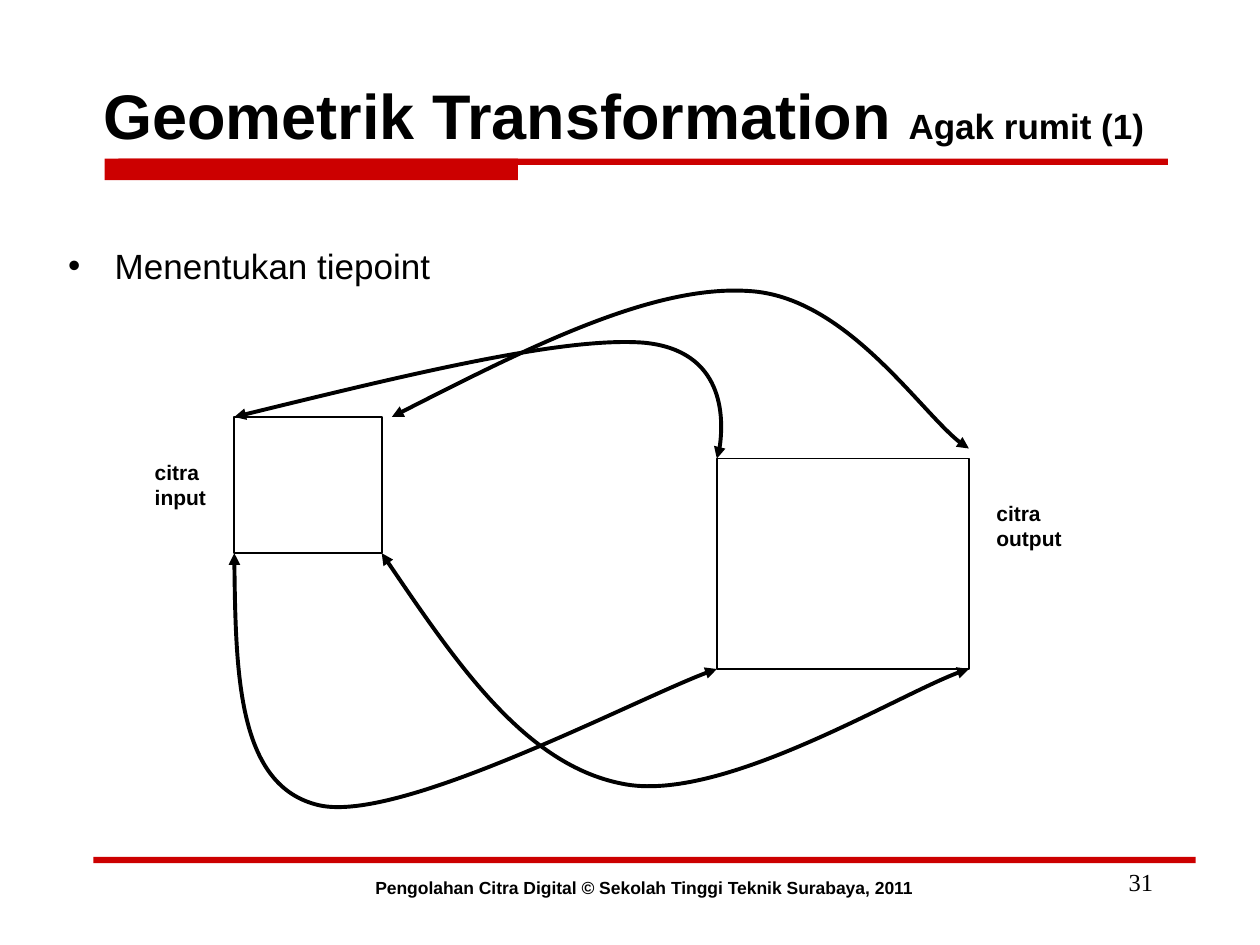
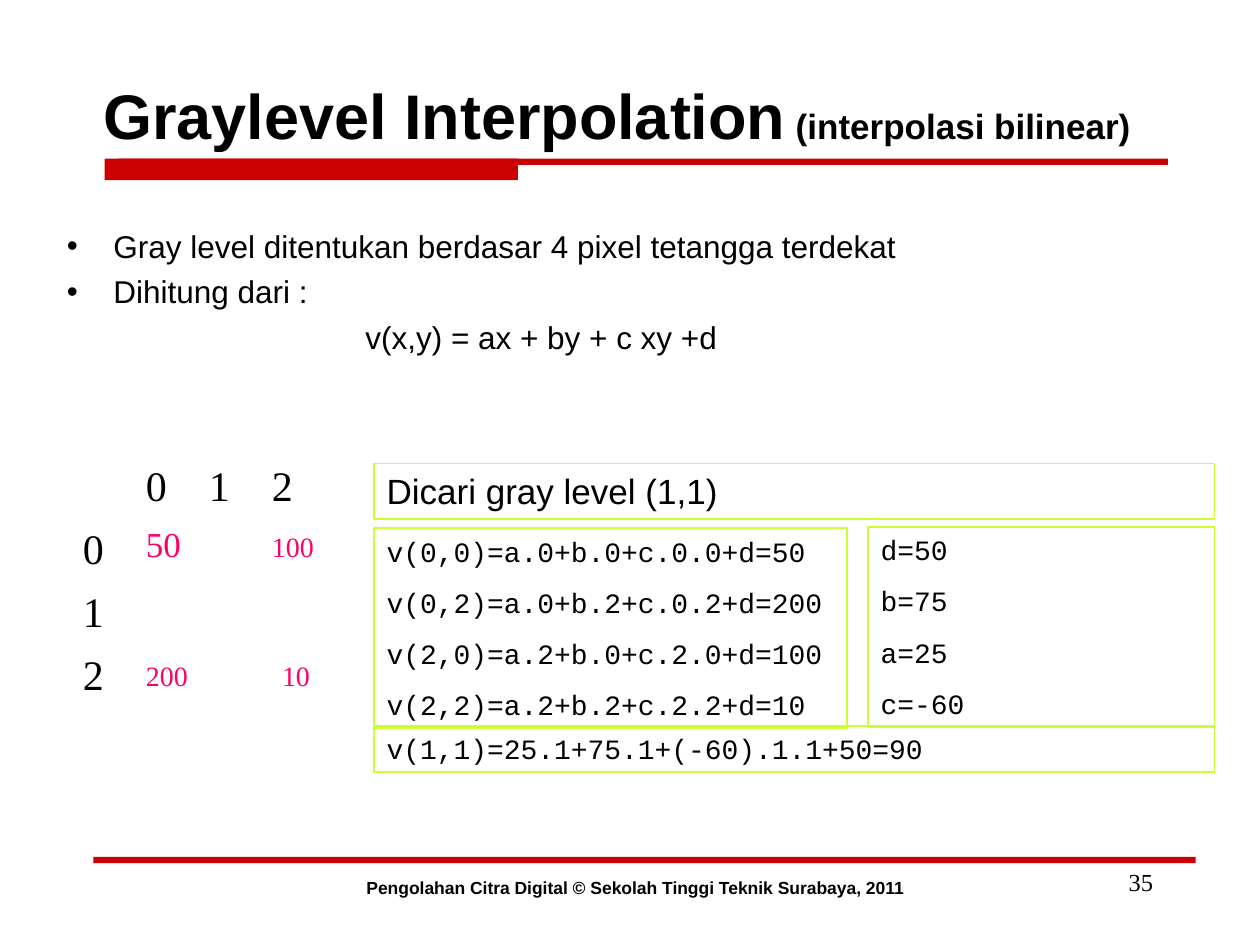
"""Build two slides on geometric transformation and gray level interpolation."""
from dataclasses import dataclass

from lxml.etree import SubElement
from pptx import Presentation
from pptx.dml.color import RGBColor
from pptx.enum.shapes import MSO_SHAPE as Shape
from pptx.enum.text import MSO_ANCHOR as Anchor, MSO_AUTO_SIZE as AutoSize, PP_ALIGN as Align
from pptx.oxml.ns import qn
from pptx.util import Inches, Pt


@dataclass(frozen=True)
class Theme:
    """Colours, fonts and type sizes of the deck."""
    ink: str = "000000"
    band: str = "CC0000"
    frame: str = "CCFF33"
    value: str = "FF0066"
    sans: str = "Arial"
    serif: str = "Times New Roman"
    mono: str = "Courier New"
    title: int = 36
    axis: int = 24
    subtitle: int = 20
    code: int = 16
    number: int = 14
    label: int = 12
    footer: int = 10


THEME = Theme()
FOOTER = "Pengolahan Citra Digital © Sekolah Tinggi Teknik Surabaya, 2011"
BANDS = [(0.94, 1.26, 8.33, 0.05), (0.83, 1.26, 3.28, 0.17), (0.74, 6.8, 8.75, 0.05)]
HANGING = 0.37

TIEPOINT = {
    "title": ("Geometrik Transformation ", "Agak rumit (1)"),
    "number": "31",
    "footer_left": 1.84,
    "body_at": (0.44, 1.89, 9.17, 0.75),
    "body_size": 20,
    "bullets": ["Menentukan tiepoint"],
}
IMAGES = [(1.86, 3.31, 1.17, 1.08), (5.69, 3.64, 2, 1.67)]
IMAGE_LABELS = [
    (["citra", "input"], (1.13, 3.6, 0.7, 0.5)),
    (["citra", "output"], (7.81, 3.92, 0.8, 0.5)),
]
TIES = [
    [(3.11, 3.31), (4.15, 2.78), (5.18, 2.26), (5.94, 2.31), (6.71, 2.35), (7.39, 3.4), (7.69, 3.56)],
    [(1.86, 3.31), (3.17, 2.99), (4.47, 2.67), (5.11, 2.72), (5.75, 2.78), (5.76, 3.47), (5.69, 3.64)],
    [(3.03, 4.39), (3.6, 5.23), (4.17, 6.07), (4.94, 6.22), (5.72, 6.38), (7.26, 5.43), (7.69, 5.31)],
    [(1.86, 4.39), (1.87, 5.31), (1.89, 6.24), (2.53, 6.39), (3.17, 6.54), (5.19, 5.47), (5.69, 5.31)],
]

BILINEAR = {
    "title": ("Graylevel Interpolation", " (interpolasi bilinear)"),
    "number": "35",
    "footer_left": 1.77,
    "body_at": (0.43, 1.75, 9.17, 1.39),
    "body_size": 18,
    "bullets": ["Gray level ditentukan berdasar 4 pixel tetangga terdekat", "Dihitung dari :"],
    "formula": "v(x,y) = ax + by + c xy +d",
}
FORMULA_INDENT = 2.37
GRID_LEFT, GRID_TOP, CELL = 0.56, 3.6, 0.5
AXIS = ["0", "1", "2"]
GRAY_LEVELS = [
    ("50", 20, (1.06, 4.1, 0.5, 0.44)),
    ("100", 16, (2.06, 4.15, 0.67, 0.37)),
    ("200", 16, (1.06, 5.18, 0.67, 0.37)),
    ("10", 16, (2.14, 5.18, 0.67, 0.37)),
]
QUESTION = (["Dicari gray level (1,1)"], (2.97, 3.68, 6.67, 0.44))
WORKINGS = [
    (["v(0,0)=a.0+b.0+c.0.0+d=50", "v(0,2)=a.0+b.2+c.0.2+d=200",
      "v(2,0)=a.2+b.0+c.2.0+d=100", "v(2,2)=a.2+b.2+c.2.2+d=10"], (2.97, 4.19, 3.75, 1.59)),
    (["d=50", "b=75", "a=25", "c=-60"], (6.89, 4.18, 2.75, 1.59)),
    (["v(1,1)=25.1+75.1+(-60).1.1+50=90"], (2.97, 5.76, 6.67, 0.37)),
]


def inches(lengths):
    return [Inches(length) for length in lengths]


def style(font, size, face=THEME.sans, color=THEME.ink, bold=False):
    font.size, font.name, font.bold = Pt(size), face, bold
    font.color.rgb = RGBColor.from_string(color)


def write(frame, lines, size, align=Align.LEFT, gap=0, **look):
    frame.word_wrap = True
    frame.vertical_anchor = Anchor.TOP
    for index, line in enumerate(lines):
        paragraph = frame.add_paragraph() if index else frame.paragraphs[0]
        paragraph.text = line
        paragraph.alignment = align
        paragraph.space_before = Pt(gap if index else 0)
        style(paragraph.font, size, **look)


def add_text(slide, lines, at, size, **look):
    write(slide.shapes.add_textbox(*inches(at)).text_frame, lines, size, **look)


def add_box(slide, at, fill=None, line=None):
    box = slide.shapes.add_shape(Shape.RECTANGLE, *inches(at))
    box.shadow.inherit = False
    if fill:
        box.fill.solid()
        box.fill.fore_color.rgb = RGBColor.from_string(fill)
    else:
        box.fill.background()
    if line:
        box.line.color.rgb = RGBColor.from_string(line)
        box.line.width = Pt(1)
    else:
        box.line.fill.background()
    return box


def add_tie(slide, points):
    start, *rest = [tuple(inches(point)) for point in points]
    builder = slide.shapes.build_freeform(*start)
    builder.add_line_segments(rest, close=False)
    tie = builder.convert_to_shape()
    tie.shadow.inherit = False
    tie.fill.background()
    tie.line.color.rgb = RGBColor.from_string(THEME.ink)
    tie.line.width = Pt(2.25)
    outline = tie._element.find(".//" + qn("a:path"))
    segments = outline.findall(qn("a:lnTo"))
    for first in range(0, len(segments), 3):
        curve = SubElement(outline, qn("a:cubicBezTo"))
        for segment in segments[first:first + 3]:
            curve.append(segment[0])
            outline.remove(segment)
    for end in ("a:headEnd", "a:tailEnd"):
        SubElement(tie.line._get_or_add_ln(), qn(end), type="triangle")


def indent(paragraph, left, hanging=0, bullet=None):
    properties = paragraph._p.get_or_add_pPr()
    properties.set("marL", str(Inches(left)))
    properties.set("indent", str(-Inches(hanging)))
    if bullet:
        SubElement(properties, qn("a:buFont"), typeface=THEME.sans)
        SubElement(properties, qn("a:buChar"), char=bullet)
    else:
        SubElement(properties, qn("a:buNone"))


def place(placeholder, at, anchor):
    placeholder.left, placeholder.top, placeholder.width, placeholder.height = inches(at)
    frame = placeholder.text_frame
    frame.auto_size = AutoSize.NONE
    frame.word_wrap = True
    frame.vertical_anchor = anchor
    return frame


def add_slide(deck, content):
    slide = deck.slides.add_slide(deck.slide_layouts[1])
    heading = place(slide.shapes.title, (0.72, 0.45, 8.5, 0.92), Anchor.MIDDLE).paragraphs[0]
    heading.alignment = Align.LEFT
    for text, size in zip(content["title"], (THEME.title, THEME.subtitle)):
        part = heading.add_run()
        part.text = text
        style(part.font, size, bold=True)

    body = place(slide.placeholders[1], content["body_at"], Anchor.TOP)
    formula = content.get("formula")
    for index, line in enumerate(content["bullets"] + ([formula] if formula else [])):
        paragraph = body.add_paragraph() if index else body.paragraphs[0]
        paragraph.text = line
        if line == formula:
            indent(paragraph, FORMULA_INDENT)
        else:
            indent(paragraph, HANGING, HANGING, "•")
        paragraph.space_before = Pt(content["body_size"] / 4 if index else 0)
        style(paragraph.font, content["body_size"])

    for band in BANDS:
        add_box(slide, band, fill=THEME.band)
    add_text(slide, [FOOTER], (content["footer_left"], 6.91, 6.54, 0.27), THEME.footer,
             align=Align.CENTER, bold=True)
    add_text(slide, [content["number"]], (7.17, 6.83, 2.08, 0.5), THEME.number,
             align=Align.RIGHT, face=THEME.serif)
    return slide


def add_tiepoints(deck):
    slide = add_slide(deck, TIEPOINT)
    for image in IMAGES:
        add_box(slide, image, line=THEME.ink)
    for tie in TIES:
        add_tie(slide, tie)
    for lines, at in IMAGE_LABELS:
        add_text(slide, lines, at, THEME.label, bold=True)


def add_bilinear(deck):
    slide = add_slide(deck, BILINEAR)
    for index, tick in enumerate(AXIS):
        offset = (index + 1) * CELL
        for left, top in ((GRID_LEFT + offset, GRID_TOP), (GRID_LEFT, GRID_TOP + offset)):
            add_text(slide, [tick], (left, top, CELL, CELL), THEME.axis, face=THEME.serif)
    for level, size, at in GRAY_LEVELS:
        add_text(slide, [level], at, size, face=THEME.serif, color=THEME.value)
    question, at = QUESTION
    write(add_box(slide, at, line=THEME.frame).text_frame, question, THEME.subtitle)
    for lines, at in WORKINGS:
        write(add_box(slide, at, line=THEME.frame).text_frame, lines, THEME.code,
              gap=10, face=THEME.mono)


def main():
    deck = Presentation()
    deck.slide_width, deck.slide_height = Inches(10), Inches(7.5)
    add_tiepoints(deck)
    add_bilinear(deck)
    deck.save("out.pptx")


if __name__ == "__main__":
    main()
